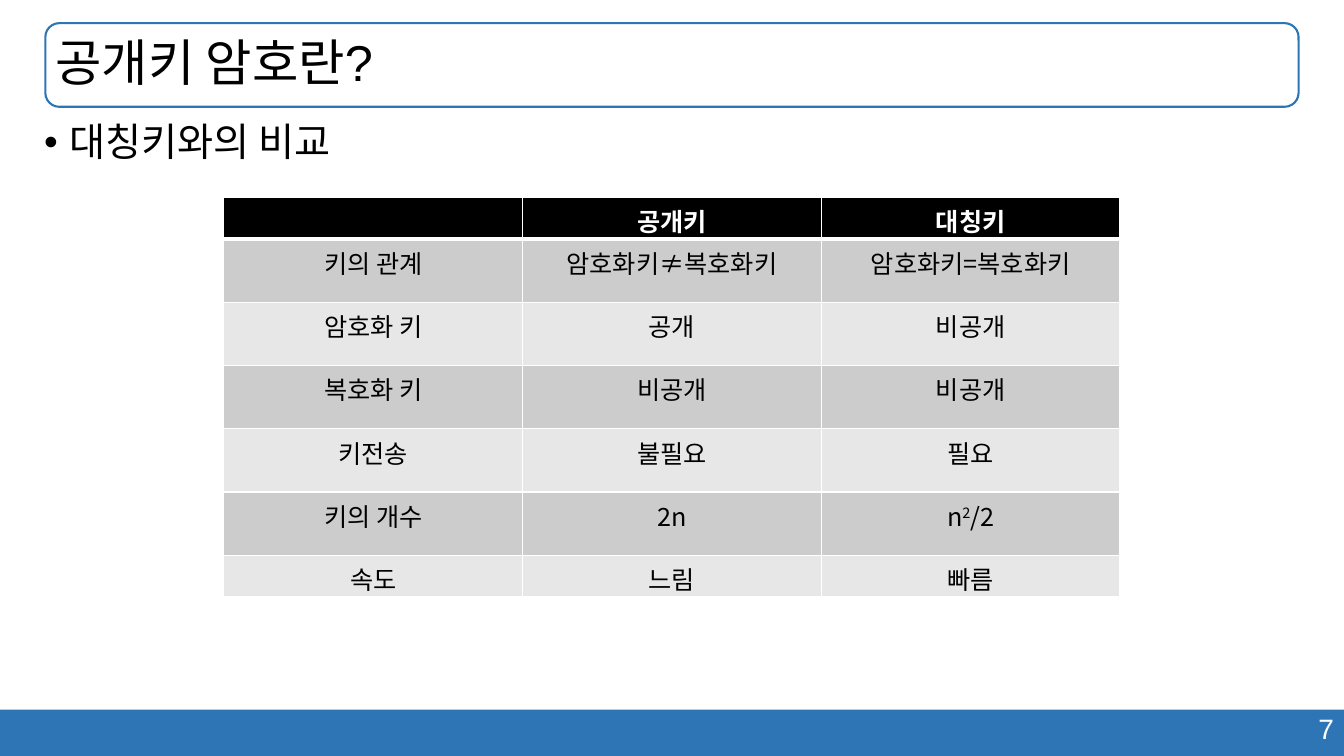
from lxml.etree import SubElement as Sub
from pptx import Presentation
from pptx.dml.color import RGBColor
from pptx.enum.shapes import MSO_SHAPE as Shape
from pptx.enum.text import MSO_ANCHOR as Anchor, PP_ALIGN as Align
from pptx.oxml.ns import qn
from pptx.util import Inches, Pt

BLUE, BLACK, WHITE = "2E75B6", "000000", "FFFFFF"
BANDS = "CCCCCC", "E7E7E7"
SANS, KOREAN = "Arial", "Noto Sans CJK KR"
ROWS = [
    ("", "공개키", "대칭키"),
    ("키의 관계", "암호화키≠복호화키", "암호화키=복호화키"),
    ("암호화 키", "공개", "비공개"),
    ("복호화 키", "비공개", "비공개"),
    ("키전송", "불필요", "필요"),
    ("키의 개수", "2n", "n^2^/2"),
    ("속도", "느림", "빠름"),
]


def paint(target, color):
    """Give a fill, line or font the colour of a hex string."""
    if hasattr(target, "solid"):
        target.solid()
        target.fore_color.rgb = RGBColor.from_string(color)
    else:
        target.color.rgb = RGBColor.from_string(color)


def style(run, size, color, face=SANS, bold=False):
    """Set the font of a run for Latin and Korean letters."""
    font = run.font
    font.size, font.name, font.bold = Pt(size), face, bold
    paint(font, color)
    Sub(run._r.get_or_add_rPr(), qn("a:ea"), typeface=KOREAN)


def write(slide, box, text, size, color):
    """Add a wrapped text box and return its frame."""
    frame = slide.shapes.add_textbox(*map(Inches, box)).text_frame
    frame.word_wrap = True
    frame.text = text
    style(frame.paragraphs[0].runs[0], size, color)
    return frame


def add_foot(slide, box, number):
    """Draw the bottom bar with the page number at its right end."""
    left, top, width, height = box
    bar = slide.shapes.add_shape(Shape.RECTANGLE, *map(Inches, box))
    bar.shadow.inherit = False
    paint(bar.fill, BLUE)
    bar.line.fill.background()
    place = left + width - 3.9, top - 0.03, 3.9, 0.44
    frame = write(slide, place, number, 20, WHITE)
    frame.paragraphs[0].alignment = Align.RIGHT


def add_title(slide, box, text):
    """Draw the rounded frame and the title inside it."""
    edge = slide.shapes.add_shape(Shape.ROUNDED_RECTANGLE, *map(Inches, box))
    edge.shadow.inherit = False
    edge.fill.background()
    paint(edge.line, BLUE)
    edge.line.width = Pt(1.5)
    frame = write(slide, box, text, 36, BLACK)
    frame.vertical_anchor = Anchor.MIDDLE
    frame.paragraphs[0].line_spacing = 0.9


def add_body(slide, box, text):
    """Write the bulleted line."""
    para = write(slide, box, text, 28, BLACK).paragraphs[0]
    para.line_spacing = 0.9
    props = para._p.get_or_add_pPr()
    props.set("marL", str(Inches(0.25)))
    props.set("indent", str(Inches(-0.25)))
    Sub(props, qn("a:buFont"), typeface=SANS)
    Sub(props, qn("a:buChar"), char="•")


def rule(cell, head):
    """Draw white borders round a cell, thicker under the header."""
    props = cell._tc.get_or_add_tcPr()
    for side in "LRTB":
        width = Pt(3 if head and side == "B" else 1)
        line = Sub(props, qn(f"a:ln{side}"), w=str(width))
        Sub(Sub(line, qn("a:solidFill")), qn("a:srgbClr"), val=WHITE)


def fill_cell(cell, text, row):
    """Format one cell; text between carets is raised."""
    head = row == 0
    rule(cell, head)
    paint(cell.fill, BLACK if head else BANDS[(row - 1) % 2])
    para = cell.text_frame.paragraphs[0]
    para.alignment = Align.CENTER
    for i, part in enumerate(text.split("^") if text else []):
        run = para.add_run()
        run.text = part
        style(run, 18, WHITE if head else BLACK, KOREAN, head)
        if i % 2:
            run.font._element.set("baseline", "30000")


def add_grid(slide, box, rows):
    """Build the comparison table with low first and last rows."""
    left, top, width, height = box
    count, low = len(rows), 0.41
    tall = (height - 2 * low) / (count - 2)
    table = slide.shapes.add_table(
        count, len(rows[0]), *map(Inches, box)).table
    for col in table.columns:
        col.width = Inches(width / len(rows[0]))
    for r, row in enumerate(rows):
        table.rows[r].height = Inches(low if r in (0, count - 1) else tall)
        for c, text in enumerate(row):
            fill_cell(table.cell(r, c), text, r)


def main():
    """Build and save the slide."""
    deck = Presentation()
    deck.slide_width, deck.slide_height = Inches(13.33), Inches(7.5)
    slide = deck.slides.add_slide(deck.slide_layouts[6])
    add_foot(slide, (0, 7.04, 13.33, 0.46), "7")
    add_title(slide, (0.45, 0.23, 12.43, 0.83), "공개키 암호란?")
    add_body(slide, (0.34, 1.17, 12.43, 5.53), "대칭키와의 비교")
    add_grid(slide, (2.22, 1.96, 8.89, 3.96), ROWS)
    deck.save("out.pptx")


if __name__ == "__main__":
    main()
